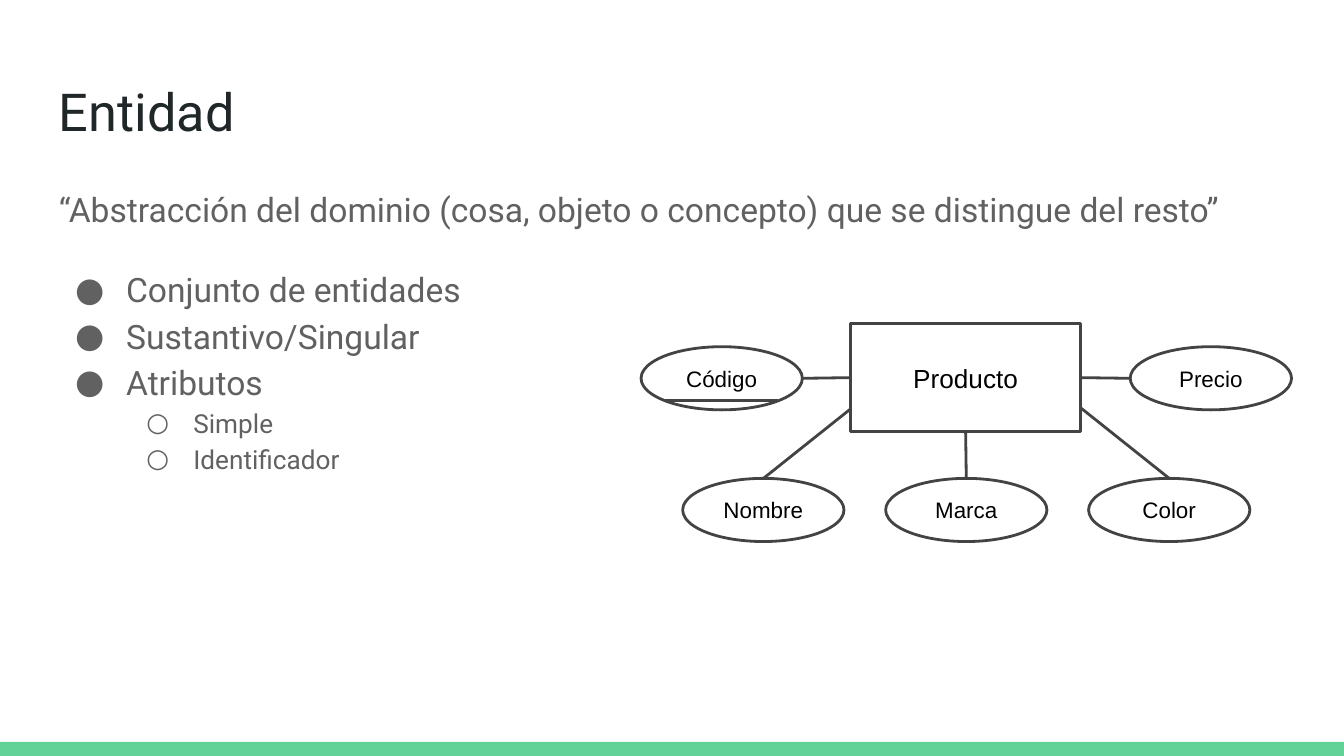
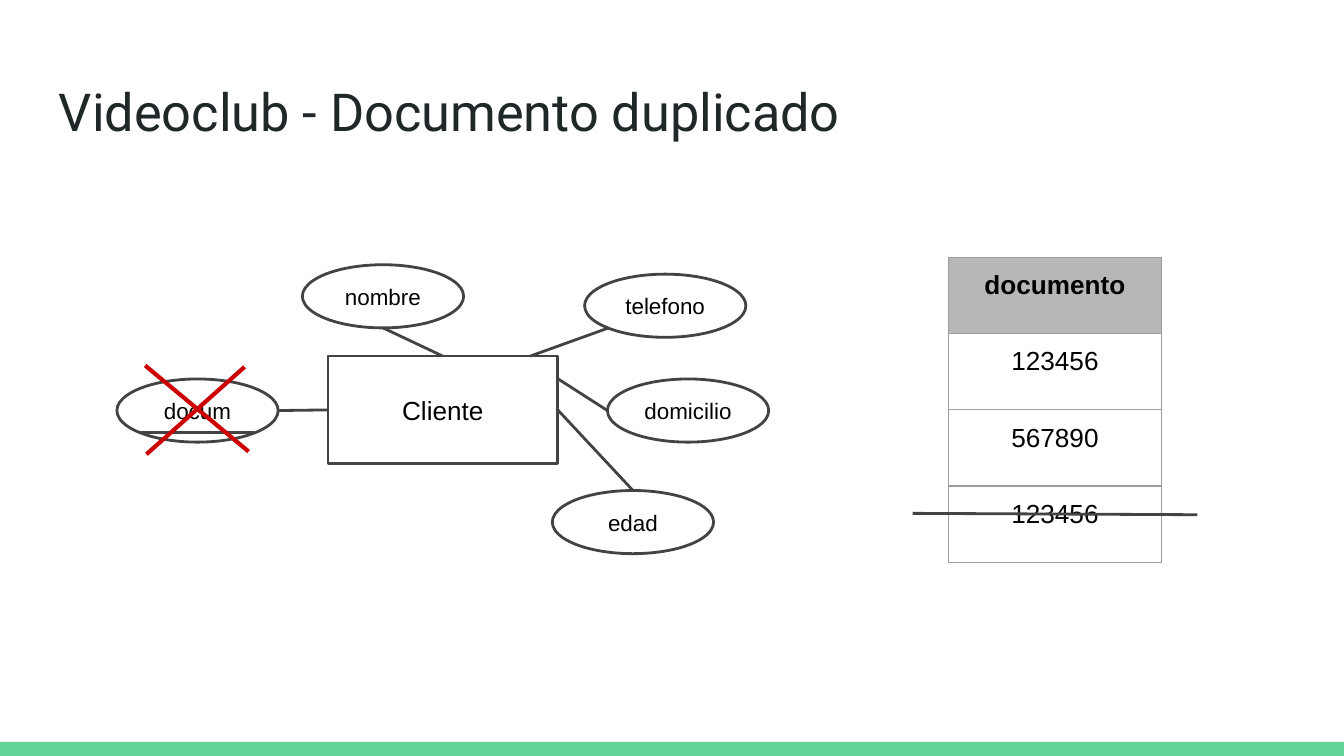
from dataclasses import dataclass
from typing import Any

from lxml.etree import SubElement
from pptx import Presentation
from pptx.dml.color import RGBColor
from pptx.enum.shapes import MSO_CONNECTOR as Connector, MSO_SHAPE as Preset
from pptx.enum.text import MSO_ANCHOR as Anchor, PP_ALIGN as Align
from pptx.oxml.ns import qn
from pptx.util import Emu, Inches, Pt

COLUMNS, ROWS = 100, 56.25
SLIDE_WIDTH, SLIDE_HEIGHT = Inches(10), Inches(5.625)
Point = tuple[float, float]


@dataclass(frozen=True)
class Theme:
    title_font: str = "Roboto"
    diagram_font: str = "Arial"
    title_size: float = 28
    body_size: float = 18
    sub_size: float = 14
    entity_size: float = 14
    attribute_size: float = 12
    line_width: float = 1.5
    cross_width: float = 2.25
    border_width: float = 0.75
    band: str = "63D297"
    title: str = "202729"
    body: str = "616161"
    ink: str = "000000"
    line: str = "434343"
    cross: str = "CC0000"
    header: str = "B7B7B7"
    border: str = "9E9E9E"


THEME = Theme()


@dataclass(frozen=True)
class Area:
    left: float
    top: float
    width: float
    height: float

    def emu(self) -> tuple[Emu, Emu, Emu, Emu]:
        return (across(self.left), down(self.top), across(self.width), down(self.height))

    def point(self, share: Point) -> Point:
        return (self.left + self.width * share[0], self.top + self.height * share[1])


@dataclass(frozen=True)
class Attribute:
    label: str
    left: float
    top: float
    own_end: Point
    entity_end: Point
    key: bool = False

    @property
    def area(self) -> Area:
        return Area(self.left, self.top, 12, 4.7)


@dataclass(frozen=True)
class Entity:
    label: str
    left: float
    top: float
    attributes: tuple[Attribute, ...]

    @property
    def area(self) -> Area:
        return Area(self.left, self.top, 17.1, 8)


@dataclass(frozen=True)
class Bullet:
    text: str
    level: int = 0


LEFT, RIGHT, TOP, BOTTOM = (0, 0.5), (1, 0.5), (0.5, 0), (0.5, 1)
BAND = Area(0, 55.2, COLUMNS, 1.05)
TITLE = Area(3.4, 4.9, 93.2, 6.3)
QUOTE = Area(3.4, 12.6, 93.2, 6)
BULLETS = Area(3.4, 18.6, 40.9, 30.6)
DOCUMENTS = Area(70.6, 19.15, 15.8, 22.7)

PRODUCT = Entity("Producto", 63.3, 24.1, (
    Attribute("Código", 47.7, 25.8, RIGHT, LEFT, key=True),
    Attribute("Nombre", 50.8, 35.6, TOP, (0, 0.79)),
    Attribute("Marca", 65.9, 35.6, TOP, BOTTOM),
    Attribute("Color", 81, 35.6, TOP, (1, 0.78)),
    Attribute("Precio", 84.1, 25.8, LEFT, RIGHT),
))
CLIENT = Entity("Cliente", 24.4, 26.5, (
    Attribute("docum", 8.7, 28.2, RIGHT, LEFT, key=True),
    Attribute("domicilio", 45.2, 28.2, LEFT, (1, 0.21)),
    Attribute("edad", 41.1, 36.5, TOP, RIGHT),
    Attribute("telefono", 43.5, 20.4, (0.15, 0.85), (0.88, 0)),
    Attribute("nombre", 22.5, 19.7, BOTTOM, TOP),
))
POINTS = (
    Bullet("Conjunto de entidades"),
    Bullet("Sustantivo/Singular"),
    Bullet("Atributos"),
    Bullet("Simple", 1),
    Bullet("Identificador", 1),
)
DOCUMENT_ROWS = ("documento", "123456", "567890", "123456")


def across(columns: float) -> Emu:
    return Emu(round(SLIDE_WIDTH * columns / COLUMNS))


def down(rows: float) -> Emu:
    return Emu(round(SLIDE_HEIGHT * rows / ROWS))


def rgb(color: str) -> RGBColor:
    return RGBColor.from_string(color)


def pad(frame: Any) -> None:
    frame.margin_left = frame.margin_right = across(1)
    frame.margin_top = frame.margin_bottom = down(1)


def write(para: Any, text: str, *, size: float, font: str = THEME.diagram_font,
          color: str = THEME.ink, bold: bool = False, align: Align | None = None,
          spacing: float | None = None, after: float | None = None) -> None:
    span = para.add_run()
    span.text = text
    span.font.name, span.font.size, span.font.bold = font, Pt(size), bold
    span.font.color.rgb = rgb(color)
    if align is not None:
        para.alignment = align
    if spacing is not None:
        para.line_spacing = spacing
    if after is not None:
        para.space_after = Pt(after)


def add_frame(page: Any, area: Area) -> Any:
    frame = page.shapes.add_textbox(*area.emu()).text_frame
    frame.word_wrap = True
    pad(frame)
    return frame


def add_line(canvas: Any, start: Point, end: Point, *, color: str = THEME.line,
             width: float = THEME.line_width) -> None:
    line = canvas.add_connector(Connector.STRAIGHT, across(start[0]), down(start[1]),
                                across(end[0]), down(end[1]))
    line.line.color.rgb = rgb(color)
    line.line.width = Pt(width)
    SubElement(line._element.spPr, qn("a:effectLst"))


def add_node(canvas: Any, preset: Preset, area: Area, label: str, size: float) -> None:
    node = canvas.add_shape(preset, *area.emu())
    node.shadow.inherit = False
    node.fill.background()
    node.line.color.rgb = rgb(THEME.line)
    node.line.width = Pt(THEME.line_width)
    frame = node.text_frame
    frame.vertical_anchor = Anchor.MIDDLE
    pad(frame)
    write(frame.paragraphs[0], label, size=size, align=Align.CENTER)


def add_entity(canvas: Any, entity: Entity) -> None:
    add_node(canvas, Preset.RECTANGLE, entity.area, entity.label, THEME.entity_size)
    for attribute in entity.attributes:
        area = attribute.area
        add_node(canvas, Preset.OVAL, area, attribute.label, THEME.attribute_size)
        add_line(canvas, area.point(attribute.own_end),
                 entity.area.point(attribute.entity_end))
        if attribute.key:
            add_line(canvas, area.point((0.14, 0.85)), area.point((0.85, 0.85)))


def add_bullets(page: Any, bullets: tuple[Bullet, ...]) -> None:
    frame = add_frame(page, BULLETS)
    styles = (("●", THEME.body_size, 3.8), ("○", THEME.sub_size, 3.5))
    for index, bullet in enumerate(bullets):
        para = frame.add_paragraph() if index else frame.paragraphs[0]
        mark, size, hang = styles[bullet.level]
        para.level = bullet.level
        write(para, bullet.text, size=size, font=THEME.title_font, color=THEME.body,
              spacing=1.15)
        props = para._p.get_or_add_pPr()
        props.set("marL", str(across(5 * (bullet.level + 1))))
        props.set("indent", str(-across(hang)))
        SubElement(SubElement(props, qn("a:buClr")), qn("a:srgbClr"), val=THEME.body)
        SubElement(props, qn("a:buFont"), typeface=THEME.title_font)
        SubElement(props, qn("a:buChar"), char=mark)


def add_borders(cell: Any) -> None:
    props = cell._tc.get_or_add_tcPr()
    for side in ("lnL", "lnR", "lnT", "lnB"):
        border = SubElement(props, qn(f"a:{side}"), w=str(Pt(THEME.border_width)))
        fill = SubElement(border, qn("a:solidFill"))
        SubElement(fill, qn("a:srgbClr"), val=THEME.border)


def add_documents(page: Any, rows: tuple[str, ...]) -> None:
    table = page.shapes.add_table(len(rows), 1, *DOCUMENTS.emu()).table
    table.horz_banding = table.first_row = False
    for index, text in enumerate(rows):
        cell = table.cell(index, 0)
        pad(cell)
        add_borders(cell)
        if index:
            cell.fill.background()
        else:
            cell.fill.solid()
            cell.fill.fore_color.rgb = rgb(THEME.header)
        write(cell.text_frame.paragraphs[0], text, size=THEME.entity_size,
              bold=index == 0, align=Align.CENTER)


def add_page(deck: Any, title: str) -> Any:
    page = deck.slides.add_slide(deck.slide_layouts[6])
    band = page.shapes.add_shape(Preset.RECTANGLE, *BAND.emu())
    band.shadow.inherit = False
    band.fill.solid()
    band.fill.fore_color.rgb = rgb(THEME.band)
    band.line.fill.background()
    write(add_frame(page, TITLE).paragraphs[0], title, size=THEME.title_size,
          font=THEME.title_font, color=THEME.title)
    return page


def build_entity_page(deck: Any) -> None:
    page = add_page(deck, "Entidad")
    write(add_frame(page, QUOTE).paragraphs[0],
          "“Abstracción del dominio (cosa, objeto o concepto) que se distingue del resto”",
          size=THEME.body_size, font=THEME.title_font, color=THEME.body,
          spacing=1.15, after=16)
    add_entity(page.shapes.add_group_shape().shapes, PRODUCT)
    add_bullets(page, POINTS)


def build_duplicate_page(deck: Any) -> None:
    page = add_page(deck, "Videoclub - Documento duplicado")
    add_entity(page.shapes, CLIENT)
    add_documents(page, DOCUMENT_ROWS)
    add_line(page.shapes, (67.9, 38.2), (89.1, 38.3))
    cross = page.shapes.add_group_shape().shapes
    for start, end in (((10.8, 27.2), (18.5, 33.6)), ((18.2, 27.3), (10.9, 33.8))):
        add_line(cross, start, end, color=THEME.cross, width=THEME.cross_width)


def main() -> None:
    deck = Presentation()
    deck.slide_width, deck.slide_height = SLIDE_WIDTH, SLIDE_HEIGHT
    build_entity_page(deck)
    build_duplicate_page(deck)
    deck.save("out.pptx")


if __name__ == "__main__":
    main()
